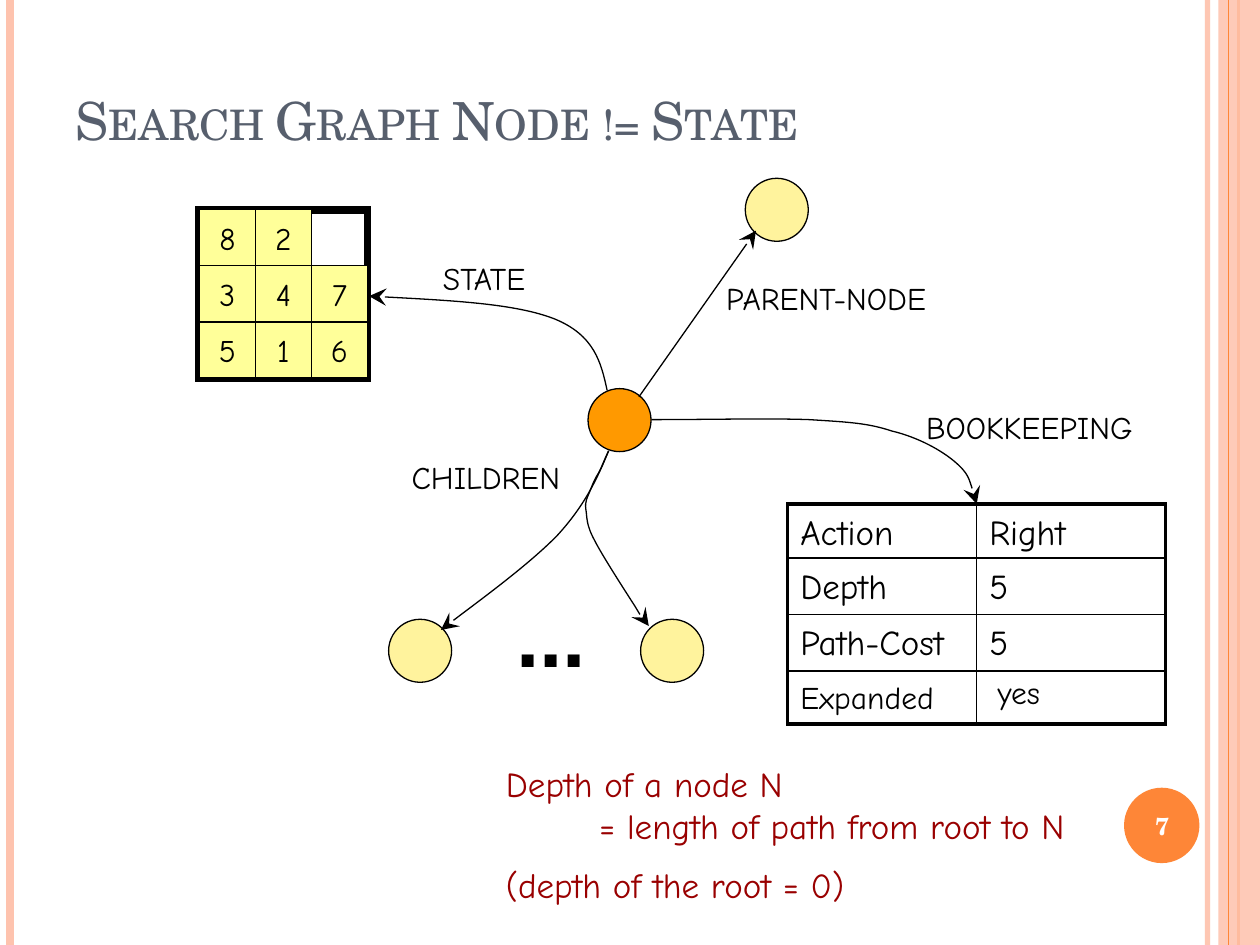
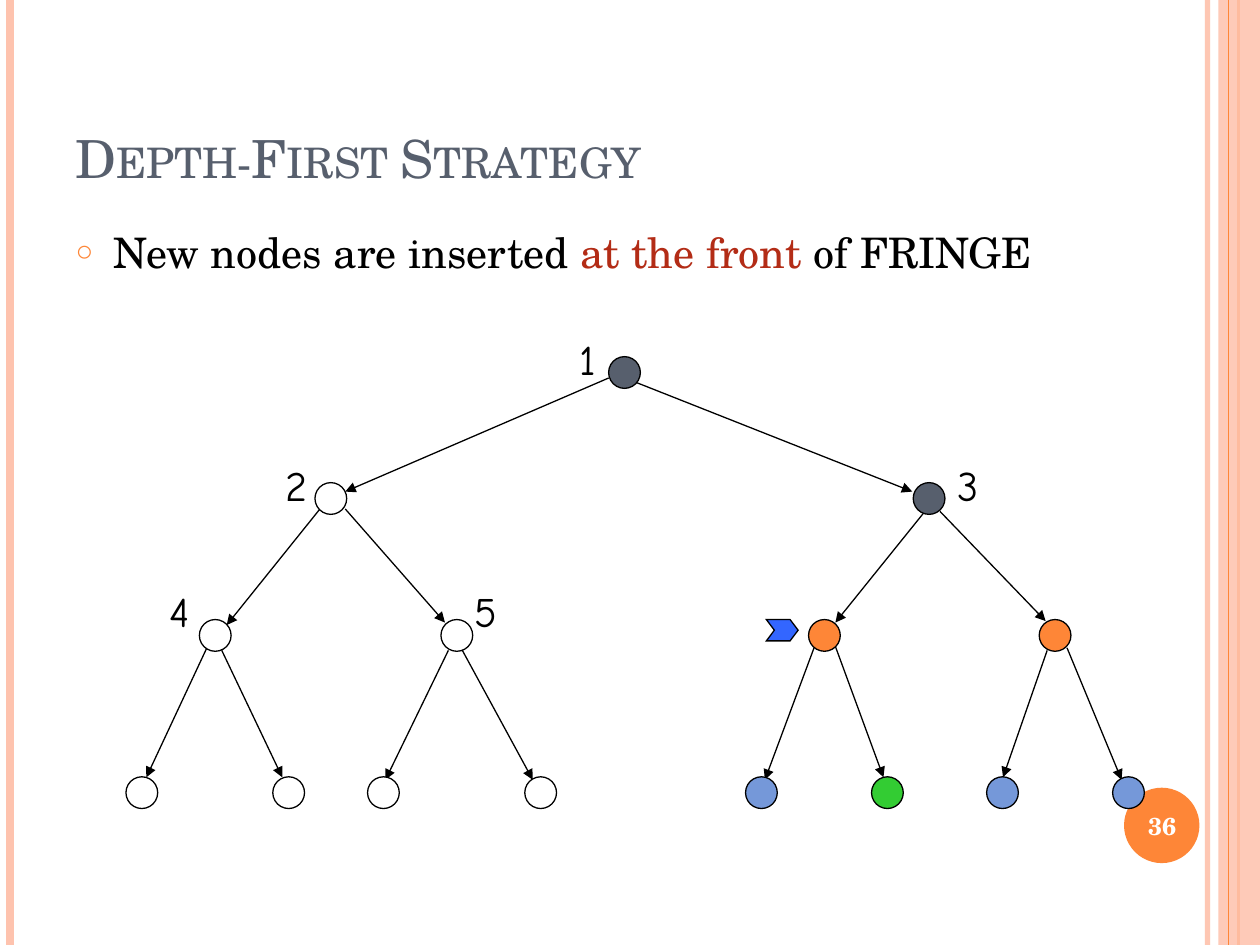
from dataclasses import dataclass
from typing import Optional

from lxml.etree import SubElement
from pptx import Presentation
from pptx.dml.color import RGBColor
from pptx.enum.shapes import MSO_CONNECTOR as Connector, MSO_SHAPE as Preset
from pptx.enum.text import MSO_ANCHOR as Anchor, MSO_AUTO_SIZE as AutoSize, PP_ALIGN as Align
from pptx.oxml.ns import qn
from pptx.util import Cm, Pt

# Shared look
SERIF, HAND, SANS = "TeX Gyre Schola", "Comic Neue", "Arial"
BLACK, WHITE, SLATE, ORANGE, PEACH = "000000", "FFFFFF", "575F6D", "FE8637", "FEC3AE"
DARK_RED, BRICK, AMBER = "990000", "B32C16", "FF9900"
TILE_YELLOW, NODE_YELLOW = "FFFF99", "FFF39D"
BLUE, GREEN, POINTER_BLUE = "7598D9", "33CC33", "3366FF"
WIDTH, HEIGHT = 25.4, 19.05
Point = tuple[float, float]


# All lengths below are centimetres
@dataclass
class Band:
    x: float
    color: str
    weight: float
    opacity: int = 100


@dataclass
class Label:
    text: str
    left: float
    top: float
    width: float
    height: float = 1.02
    size: float = 18
    font: str = HAND
    bold: bool = False


@dataclass
class Level:
    y: float
    label_top: float
    nodes: list[tuple[float, str, Optional[float]]]  # centre, fill, label left


BACK_BANDS = [Band(24.34, PEACH, 3, 93), Band(0.21, PEACH, 4.5), Band(24.97, ORANGE, 1.5)]
FRONT_BANDS = [Band(24.77, ORANGE, 0.75)]


# Drawing helpers
def rgb(color: str) -> RGBColor:
    return RGBColor.from_string(color)


def set_opacity(shape, percent: int) -> None:
    if percent < 100:
        for color in shape.element.spPr.iter(qn("a:srgbClr")):
            SubElement(color, qn("a:alpha"), val=str(percent * 1000))


def set_line(shape, color: str, weight: float, head: str = "", head_size: str = "med") -> None:
    shape.line.color.rgb = rgb(color)
    shape.line.width = Pt(weight)
    line = shape.element.spPr.find(qn("a:ln"))
    SubElement(line, qn("a:miter"), lim="800000")
    if head:
        SubElement(line, qn("a:tailEnd"), type=head, w=head_size, len=head_size)


def add_run(paragraph, text: str, size: float, color: str = BLACK, font: str = HAND,
            bold: bool = False):
    run = paragraph.add_run()
    run.text = text
    run.font.size, run.font.name, run.font.bold = Pt(size), font, bold
    run.font.color.rgb = rgb(color)
    return run


def add_box(slide, preset, left: float, top: float, width: float, height: float,
            fill: str = "", line: str = BLACK, weight: float = 0.75):
    shape = slide.shapes.add_shape(preset, Cm(left), Cm(top), Cm(width), Cm(height))
    shape.shadow.inherit = False
    if fill:
        shape.fill.solid()
        shape.fill.fore_color.rgb = rgb(fill)
    else:
        shape.fill.background()
    if line:
        set_line(shape, line, weight)
    else:
        shape.line.fill.background()
    return shape


def add_text_frame(slide, left: float, top: float, width: float, height: float):
    box = slide.shapes.add_textbox(Cm(left), Cm(top), Cm(width), Cm(height))
    box.text_frame.word_wrap = True
    return box.text_frame


def add_label(slide, label: Label) -> None:
    frame = add_text_frame(slide, label.left, label.top, label.width, label.height)
    add_run(frame.paragraphs[0], label.text, label.size, font=label.font, bold=label.bold)


def add_line(slide, start: Point, end: Point, color: str = BLACK, weight: float = 0.75,
             head: str = "", head_size: str = "med"):
    line = slide.shapes.add_connector(Connector.STRAIGHT, Cm(start[0]), Cm(start[1]),
                                      Cm(end[0]), Cm(end[1]))
    set_line(line, color, weight, head, head_size)
    SubElement(line.element.spPr, qn("a:effectLst"))
    return line


def add_node(slide, x: float, y: float, diameter: float, fill: str) -> None:
    add_box(slide, Preset.OVAL, x - diameter / 2, y - diameter / 2, diameter, diameter, fill)


def add_curve(slide, points: list[Point]) -> None:
    """Draw a chain of cubic curves: a start, then three points for each piece."""
    start, *others = [(Cm(x), Cm(y)) for x, y in points]
    builder = slide.shapes.build_freeform(*start)
    builder.add_line_segments(others, close=False)
    curve = builder.convert_to_shape()
    outline = next(curve.element.spPr.iter(qn("a:path")))
    corners = outline.findall(qn("a:lnTo"))
    for first in range(0, len(corners), 3):
        piece = SubElement(outline, qn("a:cubicBezTo"))
        for corner in corners[first:first + 3]:
            piece.append(corner[0])
            outline.remove(corner)
    curve.shadow.inherit = False
    curve.fill.background()
    set_line(curve, BLACK, 0.75, "stealth", "lg")


def place(placeholder, left: float, top: float, width: float, height: float):
    placeholder.left, placeholder.top = Cm(left), Cm(top)
    placeholder.width, placeholder.height = Cm(width), Cm(height)
    placeholder.text_frame.auto_size = AutoSize.NONE
    return placeholder.text_frame


def add_bands(slide, bands: list[Band]) -> None:
    for band in bands:
        line = add_line(slide, (band.x, 0), (band.x, HEIGHT), band.color, band.weight)
        set_opacity(line, band.opacity)


def start_slide(presentation, layout: int, title: str, title_top: float, number: int):
    slide = presentation.slides.add_slide(presentation.slide_layouts[layout])
    # Bands and page number disc
    add_bands(slide, BACK_BANDS)
    strip = add_box(slide, Preset.RECTANGLE, 24.56, 0, 0.84, HEIGHT, PEACH, line="")
    set_opacity(strip, 87)
    add_bands(slide, FRONT_BANDS)
    add_box(slide, Preset.OVAL, 22.66, 15.88, 1.52, 1.52, ORANGE, line="")
    frame = add_text_frame(slide, 22.58, 15.93, 1.7, 1.45)
    frame.vertical_anchor = Anchor.MIDDLE
    frame.paragraphs[0].alignment = Align.CENTER
    add_run(frame.paragraphs[0], str(number), 14, WHITE, SERIF, bold=True)
    # Title
    frame = place(slide.shapes.title, 1.27, title_top, 20.75, 3.18)
    frame.vertical_anchor = Anchor.BOTTOM
    frame.paragraphs[0].alignment = Align.LEFT
    run = add_run(frame.paragraphs[0], title, 30, SLATE, SERIF)
    run.font._element.set("cap", "small")
    return slide


# Slide parts
def add_puzzle(slide, left: float, top: float, tile: float, rows: list[str]) -> None:
    add_box(slide, Preset.RECTANGLE, left, top, 3 * tile, 3 * tile, weight=4.5)
    for row, digits in enumerate(rows):
        for column, digit in enumerate(digits):
            shape = add_box(slide, Preset.RECTANGLE, left + column * tile, top + row * tile,
                            tile, tile, TILE_YELLOW)
            frame = shape.text_frame
            frame.word_wrap = False
            frame.vertical_anchor = Anchor.MIDDLE
            frame.paragraphs[0].alignment = Align.CENTER
            add_run(frame.paragraphs[0], digit, 18)


def add_border(cell, side: str, weight: float) -> None:
    line = SubElement(cell._tc.get_or_add_tcPr(), qn(f"a:ln{side}"), w=str(Pt(weight)))
    SubElement(SubElement(line, qn("a:solidFill")), qn("a:srgbClr"), val=BLACK)


def add_bookkeeping(slide) -> None:
    rows = [("Action", "Right", 20, 1.09), ("Depth", "5", 20, 1.14),
            ("Path-Cost", "5", 20, 1.14), ("Expanded", "yes", 18, 1.07)]
    table = slide.shapes.add_table(len(rows), 2, Cm(15.88), Cm(10.16), Cm(7.62), Cm(4.44)).table
    table.first_row = table.horz_banding = False
    for row, (name, value, size, height) in enumerate(rows):
        table.rows[row].height = Cm(height)
        for column, text in enumerate((name, value)):
            cell = table.cell(row, column)
            outer = {"L": column == 0, "R": column == 1, "T": row == 0, "B": row == len(rows) - 1}
            for side, is_outer in outer.items():
                add_border(cell, side, 2.25 if is_outer else 1)
            cell.fill.background()
            cell.margin_top, cell.margin_bottom = Cm(0.2), Cm(0)
            add_run(cell.text_frame.paragraphs[0], text, size)
    last_value = table.cell(len(rows) - 1, 1)
    last_value.margin_left, last_value.margin_top = Cm(0.42), Cm(0.1)


def build_node_slide(presentation) -> None:
    slide = start_slide(presentation, 5, "Search Graph Node != State", 0, 7)
    for x, y, fill in ((12.49, 8.47, AMBER), (15.66, 4.23, NODE_YELLOW),
                       (8.47, 13.12, NODE_YELLOW), (13.55, 13.12, NODE_YELLOW)):
        add_node(slide, x, y, 1.27, fill)
    add_line(slide, (12.88, 8), (15.24, 4.65), head="stealth", head_size="lg")
    add_puzzle(slide, 4.02, 4.23, 1.13, ["82", "347", "516"])
    add_bookkeeping(slide)

    # Curved arrows to the state, the bookkeeping table and both children
    for points in (
        [(12.24, 7.87), (12.12, 7.32), (11.99, 6.76), (11.18, 6.43),
         (10.39, 6.12), (8.92, 6.05), (7.44, 5.97)],
        [(13.13, 8.46), (14.3, 8.46), (15.49, 8.43), (16.31, 8.46), (17.12, 8.51),
         (17.5, 8.53), (17.98, 8.69), (18.49, 8.81), (18.97, 9.07), (19.25, 9.31),
         (19.53, 9.55), (19.61, 9.86), (19.69, 10.16)],
        [(12.27, 9.09), (12.04, 9.65), (11.79, 10.19), (11.23, 10.8),
         (10.64, 11.4), (9.27, 12.4), (8.89, 12.7)],
        [(12.27, 9.09), (12.19, 9.25), (12.14, 9.4), (12.07, 9.53), (11.99, 9.65),
         (11.94, 9.78), (11.89, 9.91), (11.84, 10.03), (11.79, 10.11), (11.81, 10.26),
         (11.84, 10.44), (11.81, 10.57), (11.99, 10.9), (12.14, 11.2), (12.62, 11.94),
         (12.8, 12.22), (12.98, 12.52), (13.03, 12.57), (13.08, 12.62)],
    ):
        add_curve(slide, points)

    for label in (Label("STATE", 8.68, 5.09, 2.67), Label("PARENT-NODE", 14.39, 5.51, 5.18),
                  Label("BOOKKEEPING", 18.42, 8.11, 5.11), Label("CHILDREN", 8.05, 9.1, 3.84),
                  Label("...", 10.16, 11.63, 1.95, 2.29, 48, SANS, True)):
        add_label(slide, label)

    # Definition of depth
    frame = add_text_frame(slide, 9.95, 15.24, 12.83, 3.12)
    lines = [("Depth of a node N", 0, 0), ("= length of path from root to N", 1.88, 0),
             ("(depth of the root = 0)", 0, 10)]
    for index, (text, indent, space) in enumerate(lines):
        paragraph = frame.add_paragraph() if index else frame.paragraphs[0]
        paragraph._p.get_or_add_pPr().set("marL", str(Cm(indent)))
        paragraph.space_before = Pt(space)
        add_run(paragraph, text, 20, DARK_RED)


def build_tree_slide(presentation) -> None:
    slide = start_slide(presentation, 1, "Depth-First Strategy", 0.76, 36)
    # Bulleted statement
    paragraph = place(slide.placeholders[1], 1.27, 4.43, 20.75, 13.54).paragraphs[0]
    properties = paragraph._p.get_or_add_pPr()
    properties.set("marL", str(Cm(0.76)))
    properties.set("indent", str(Cm(-0.76)))
    SubElement(SubElement(properties, qn("a:buClr")), qn("a:srgbClr"), val=ORANGE)
    SubElement(properties, qn("a:buSzPct"), val="70000")
    SubElement(properties, qn("a:buChar"), char="○")
    paragraph.space_before = Pt(0)
    for text, color in (("New nodes are inserted ", BLACK), ("at the front ", BRICK),
                        ("of FRINGE", BLACK)):
        add_run(paragraph, text, 24, color, SERIF)

    # Arrows between levels
    for start, end in (
        ((12.27, 7.62), (6.96, 9.91)), ((12.8, 7.7), (18.39, 9.91)),
        ((6.45, 10.26), (4.57, 12.6)), ((6.96, 10.26), (8.97, 12.55)),
        ((18.62, 10.34), (16.84, 12.55)), ((18.95, 10.31), (21.08, 12.52)),
        ((4.17, 13.06), (2.95, 15.67)), ((4.47, 13.11), (5.69, 15.67)),
        ((9.04, 13.11), (7.77, 15.72)), ((9.32, 13.11), (10.74, 15.72)),
        ((16.41, 13.06), (15.42, 15.72)), ((16.84, 13.03), (17.81, 15.67)),
        ((21.11, 13.11), (20.22, 15.67)), ((21.51, 13.06), (22.61, 15.72)),
    ):
        add_line(slide, start, end, head="triangle")

    # Nodes, numbered in the order of the levels
    levels = [
        Level(7.51, 6.6, [(12.59, SLATE, 11.43)]),
        Level(10.05, 9.14, [(6.67, WHITE, 5.51), (18.73, SLATE, 19.05)]),
        Level(12.81, 11.68, [(4.34, WHITE, 3.17), (9.21, WHITE, 9.32),
                             (16.62, ORANGE, None), (21.27, ORANGE, None)]),
        Level(15.98, 0, [(x, fill, None) for x, fill in (
            (2.86, WHITE), (5.82, WHITE), (7.73, WHITE), (10.9, WHITE),
            (15.35, BLUE), (17.89, GREEN), (20.21, BLUE), (22.75, BLUE))]),
    ]
    number = 0
    for level in levels:
        for x, fill, label_left in level.nodes:
            number += 1
            add_node(slide, x, level.y, 0.64, fill)
            if label_left is not None:
                add_label(slide, Label(str(number), label_left, level.label_top, 1.02, 1.27, 24))

    # Pointer to the node expanded next
    pointer = add_box(slide, Preset.CHEVRON, 15.45, 12.49, 0.64, 0.43, POINTER_BLUE)
    pointer.adjustments[0] = 0.375


def main() -> None:
    presentation = Presentation()
    presentation.slide_width, presentation.slide_height = Cm(WIDTH), Cm(HEIGHT)
    build_node_slide(presentation)
    build_tree_slide(presentation)
    presentation.save("out.pptx")


if __name__ == "__main__":
    main()
